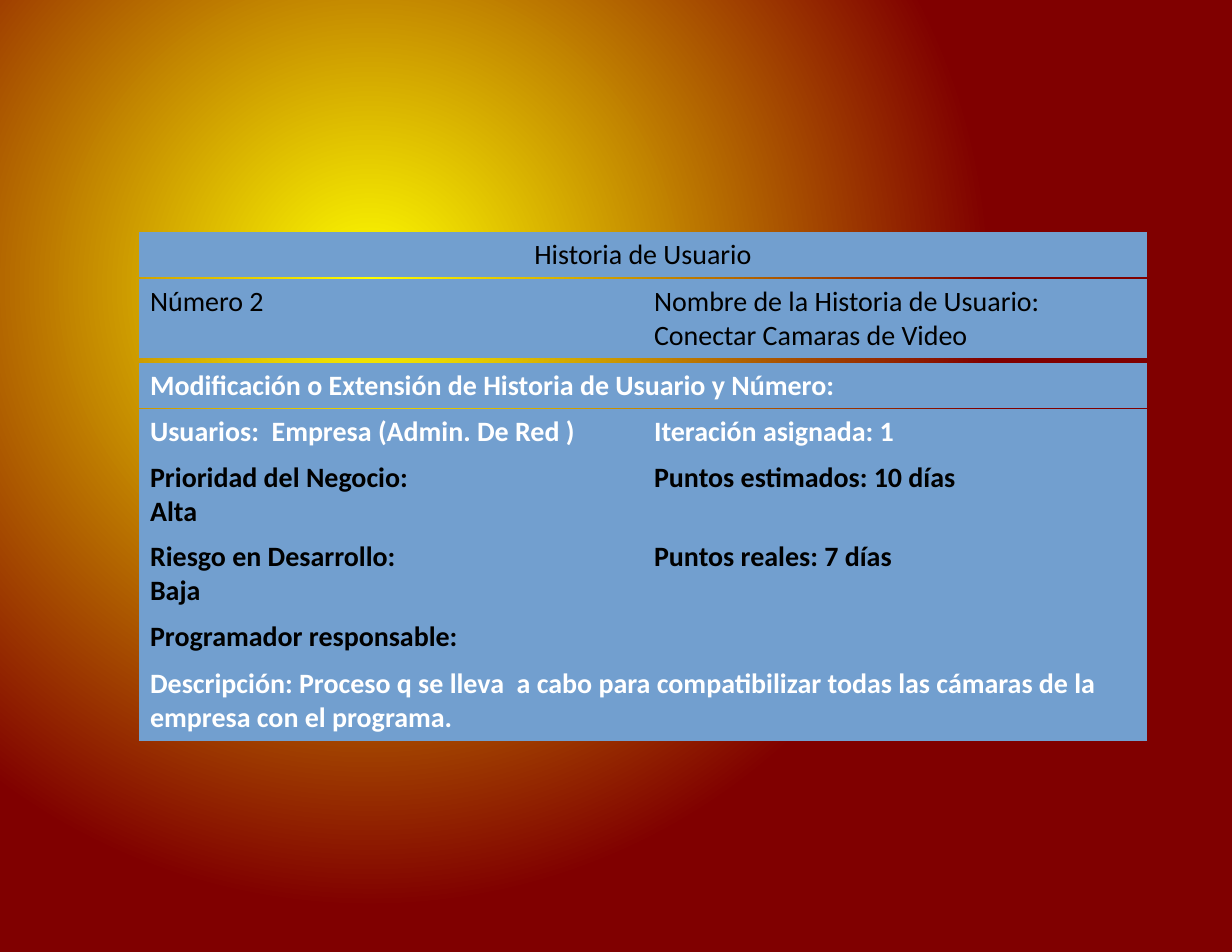
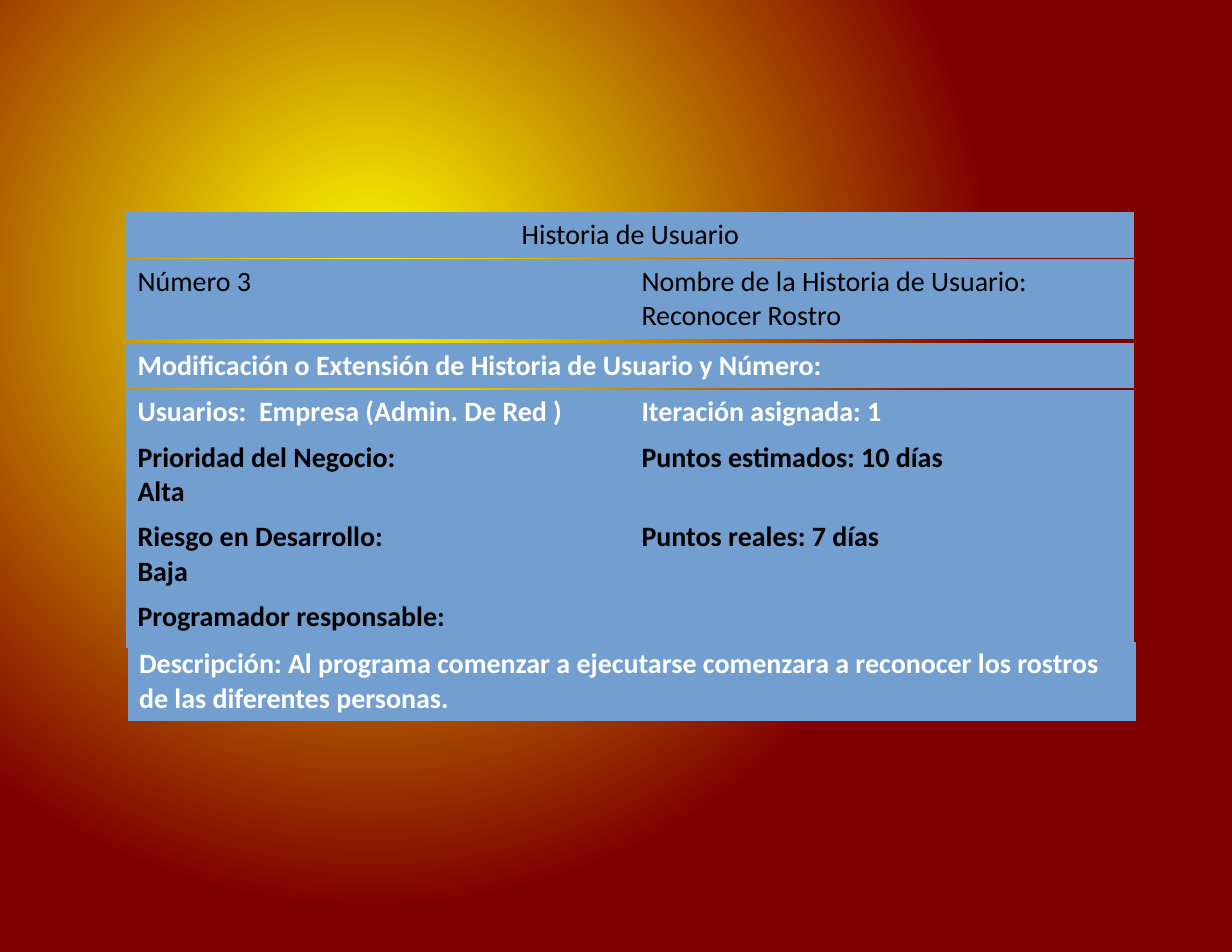
from lxml import etree
from pptx import Presentation
from pptx.dml.color import RGBColor
from pptx.enum.text import PP_ALIGN
from pptx.oxml.ns import qn
from pptx.util import Pt

CENTER = PP_ALIGN.CENTER
LEFT = PP_ALIGN.LEFT

BLUE = RGBColor(0x72, 0x9F, 0xCF)
BLACK = RGBColor(0x00, 0x00, 0x00)
WHITE = RGBColor(0xFF, 0xFF, 0xFF)
YELLOW = RGBColor(0xFF, 0xFF, 0x00)
MAROON = RGBColor(0x80, 0x00, 0x00)

PLAIN_TABLE = "{2D5ABB26-0587-4C30-8999-92F81FD0307C}"
CARD_WIDTH = 648
ONE_LINE = 29.2
TWO_LINES = 51.2
LAST_ROW = 34.5


class Deck:
    """Holds the shared style and the slide being built."""

    font = "Calibri"
    size = Pt(18)

    def __init__(self):
        self.prs = Presentation()
        self.prs.slide_width = Pt(792)
        self.prs.slide_height = Pt(612)
        self.s = None

    def add_slide(self):
        self.s = self.prs.slides.add_slide(self.prs.slide_layouts[6])
        self.glow()

    def glow(self):
        """Fill the background with a circular gradient centred at 30 %, 30 %."""
        fill = self.s.background.fill
        fill.gradient()
        for stop, color, position in zip(fill.gradient_stops, (YELLOW, MAROON), (0, 0.8)):
            stop.color.rgb = color
            stop.position = position
        grad = self.s.background._cSld.find(".//" + qn("a:gradFill"))
        lin = grad.find(qn("a:lin"))
        circle = etree.Element(qn("a:path"), path="circle")
        etree.SubElement(circle, qn("a:fillToRect"), l="30000", t="30000", r="70000", b="70000")
        grad.replace(lin, circle)

    def table(self, left, top, heights, rows, colors, bold=True, align=LEFT):
        """Add a table with equal columns and one text colour per row."""
        columns = len(rows[0])
        frame = self.s.shapes.add_table(len(rows), columns, Pt(left), Pt(top),
                                        Pt(CARD_WIDTH), Pt(sum(heights)))
        table = frame.table
        table.first_row = table.horz_banding = False
        table._tbl.tblPr.find(qn("a:tableStyleId")).text = PLAIN_TABLE
        for row, height, texts, color in zip(table.rows, heights, rows, colors):
            row.height = Pt(height)
            for cell, text in zip(row.cells, texts):
                self.cell(cell, text, color, bold, align)

    def cell(self, cell, text, color, bold, align):
        cell.fill.solid()
        cell.fill.fore_color.rgb = BLUE
        cell.text_frame.text = text
        for p in cell.text_frame.paragraphs:
            p.alignment = align
            for r in p.runs:
                r.font.name = self.font
                r.font.size = self.size
                r.font.bold = bold
                r.font.color.rgb = color

    def story(self, left, top, number, name, description, description_shift=0):
        """Add a slide with one user story card."""
        self.add_slide()
        self.table(left, top, [ONE_LINE], [["Historia de Usuario"]], [BLACK],
                   bold=False, align=CENTER)
        self.table(left, top + 30, [TWO_LINES],
                   [[f"Número {number}", f"Nombre de la Historia de Usuario:\n{name}"]],
                   [BLACK], bold=False)
        self.table(left, top + 84, [ONE_LINE],
                   [["Modificación o Extensión de Historia de Usuario y Número:"]], [WHITE])
        details = [
            ["Usuarios:  Empresa (Admin. De Red )", "Iteración asignada: 1"],
            ["Prioridad del Negocio:\nAlta", "Puntos estimados: 10 días"],
            ["Riesgo en Desarrollo:\nBaja", "Puntos reales: 7 días"],
            ["Programador responsable:", ""],
        ]
        self.table(left, top + 114, [ONE_LINE, TWO_LINES, TWO_LINES, LAST_ROW],
                   details, [WHITE, BLACK, BLACK, BLACK])
        self.table(left + description_shift, top + 276, [TWO_LINES],
                   [[f"Descripción: {description}"]], [WHITE])


def main():
    deck = Deck()
    deck.story(89.3, 149.2, 2, "Conectar Camaras de Video",
               "Proceso q se lleva  a cabo para compatibilizar todas las cámaras "
               "de la empresa con el programa.")
    deck.story(81.2, 136.5, 3, "Reconocer Rostro",
               "Al programa comenzar a ejecutarse comenzara a reconocer los rostros "
               "de las diferentes personas.", description_shift=1)
    deck.prs.save("out.pptx")


if __name__ == "__main__":
    main()
